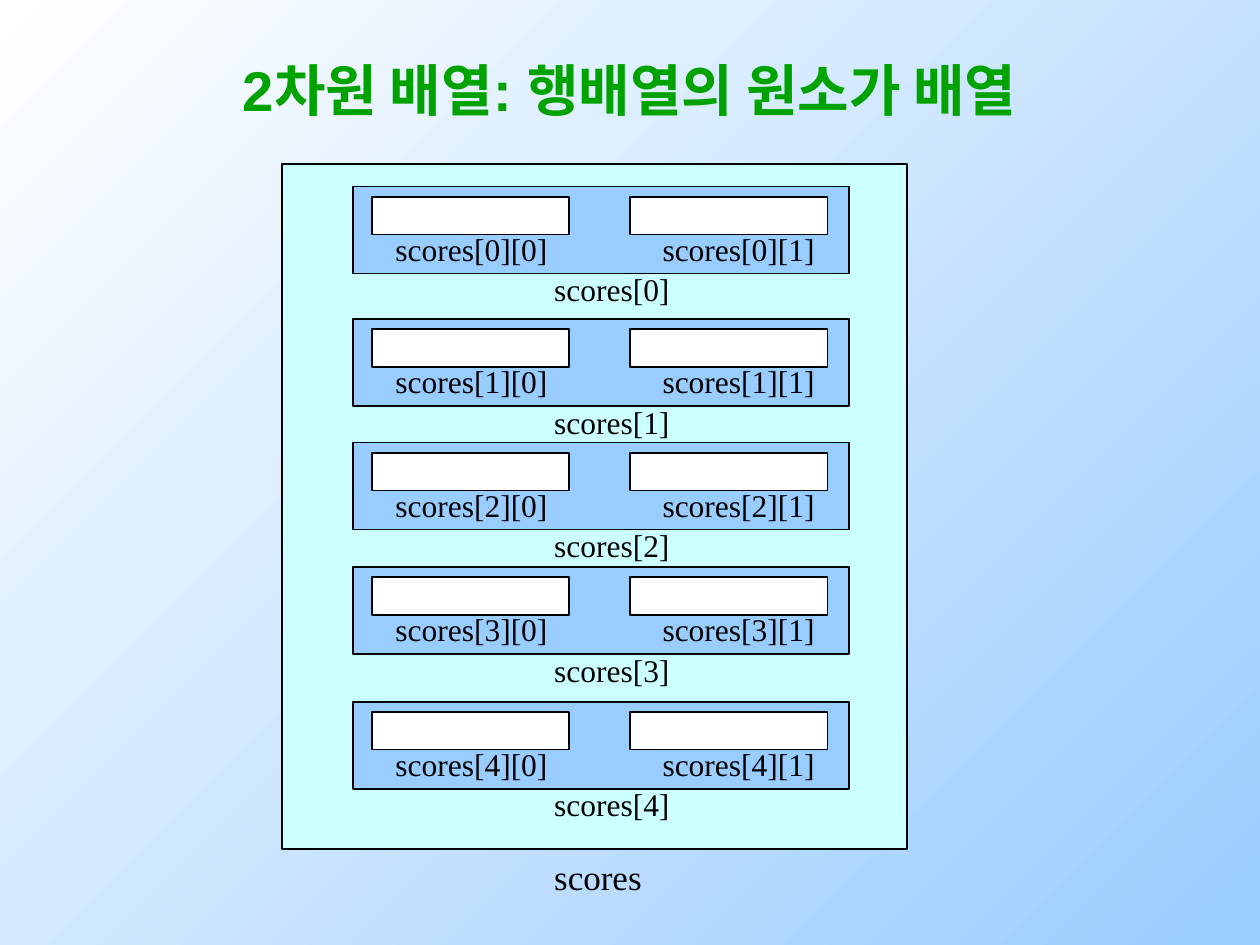
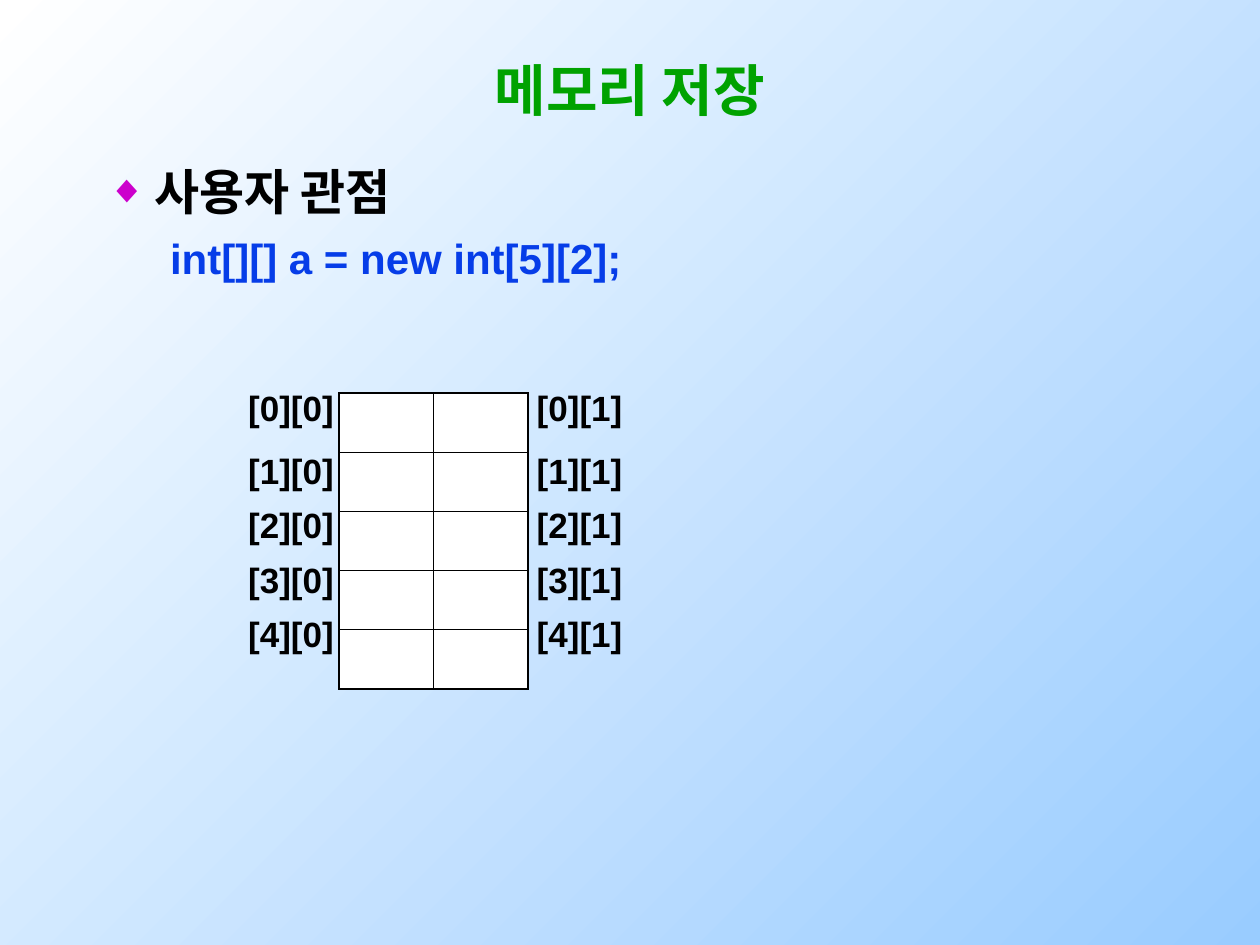
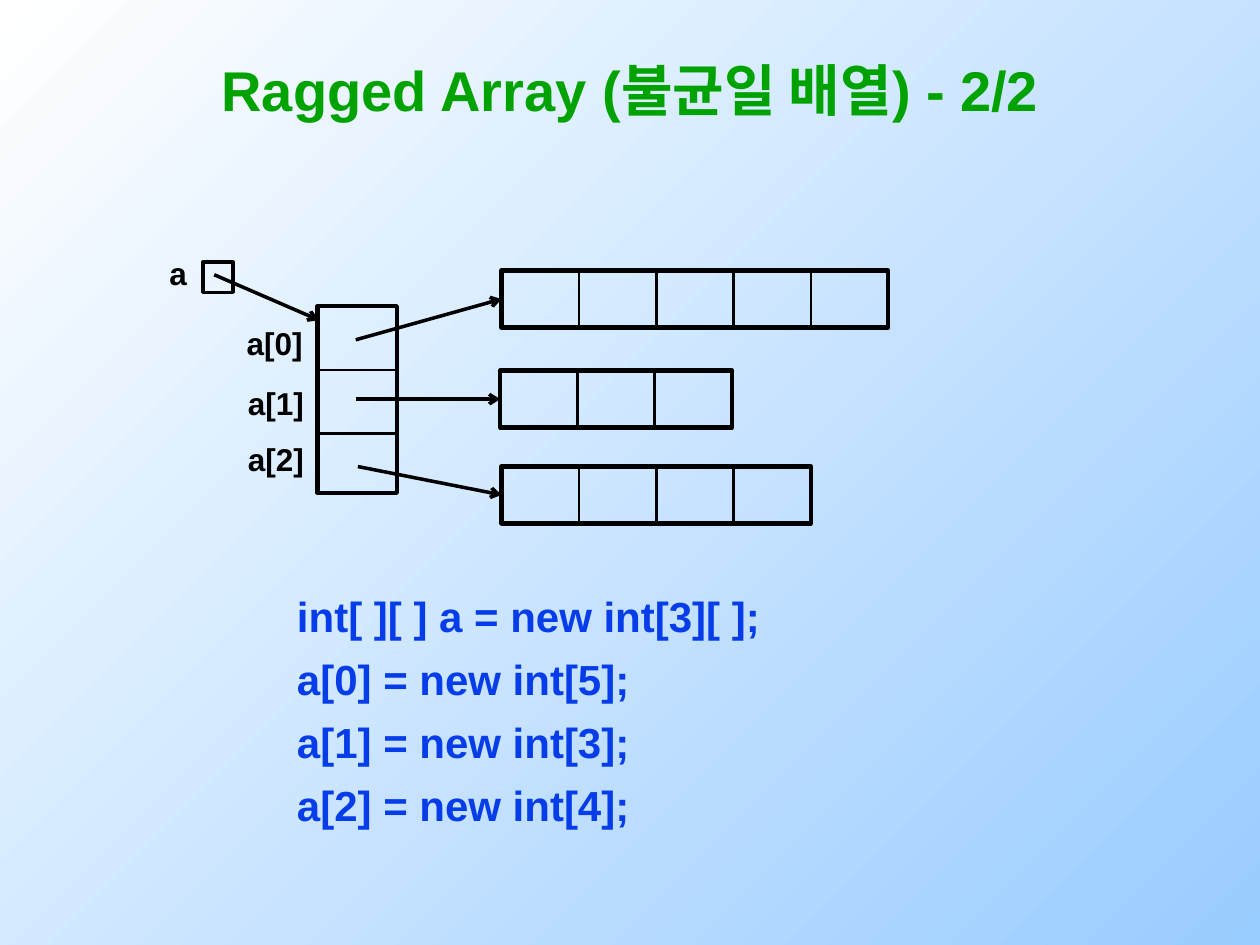
from pptx import Presentation
from pptx.dml.color import RGBColor
from pptx.enum.shapes import MSO_CONNECTOR as LineKind, MSO_SHAPE as ShapeKind
from pptx.enum.text import MSO_AUTO_SIZE as AutoSize, PP_ALIGN as Align
from pptx.oxml.ns import qn
from pptx.util import Pt
from lxml.etree import SubElement

BLACK = RGBColor(0x00, 0x00, 0x00)
WHITE = RGBColor(0xFF, 0xFF, 0xFF)
SKY = RGBColor(0x99, 0xCC, 0xFF)
AQUA = RGBColor(0xCC, 0xFF, 0xFF)
GREEN = RGBColor(0x00, 0xA2, 0x00)
BLUE = RGBColor(0x06, 0x3D, 0xE8)
MAGENTA = RGBColor(0xCC, 0x00, 0xCC)
PLAIN_TABLE = "{2D5ABB26-0587-4C30-8999-92F81FD0307C}"


def write(frame, text, size=18, color=BLACK, font="Arial", bold=True,
          align=Align.LEFT, before=0, margin=0, bullet=None, wrap=True):
    frame.word_wrap = wrap
    frame.auto_size = AutoSize.NONE
    para = frame.add_paragraph() if frame.text else frame.paragraphs[0]
    para.alignment = align
    para.space_before = Pt(before)
    props = para._p.get_or_add_pPr()
    props.set("marL", str(Pt(margin)))
    props.set("indent", str(-Pt(margin) if bullet else 0))
    if bullet:
        tint = SubElement(props, qn("a:buClr"))
        SubElement(tint, qn("a:srgbClr"), val=str(MAGENTA))
        SubElement(props, qn("a:buSzPct"), val="80000")
        SubElement(props, qn("a:buChar"), char=bullet)
    else:
        SubElement(props, qn("a:buNone"))
    span = para.add_run()
    span.text = text
    span.font.name = font
    span.font.size = Pt(size)
    span.font.bold = bold
    span.font.color.rgb = color


def draw_box(page, left, top, width, height, fill=None, weight=1):
    box = page.shapes.add_shape(ShapeKind.RECTANGLE, Pt(left), Pt(top), Pt(width), Pt(height))
    box.shadow.inherit = False
    box.line.color.rgb = BLACK
    box.line.width = Pt(weight)
    if fill is None:
        box.fill.background()
    else:
        box.fill.solid()
        box.fill.fore_color.rgb = fill
    return box


deck = Presentation()
deck.slide_width = Pt(720)
deck.slide_height = Pt(540)
backdrop = deck.slide_master.background.fill
backdrop.gradient()
backdrop.gradient_angle = 315
for stop, color in zip(backdrop.gradient_stops, (WHITE, SKY)):
    stop.color.rgb = color

pages = []
for layout, title in (
    (5, "2차원 배열: 행배열의 원소가 배열"),
    (1, "메모리 저장"),
    (1, "Ragged Array (불균일 배열) - 2/2"),
):
    page = deck.slides.add_slide(deck.slide_layouts[layout])
    heading = page.shapes.title
    heading.left, heading.top, heading.width, heading.height = Pt(54), Pt(23.8), Pt(612), Pt(54)
    write(heading.text_frame, title, size=32, color=GREEN, align=Align.CENTER)
    pages.append(page)
nested_page, memory_page, ragged_page = pages

draw_box(nested_page, 161.3, 93.6, 357.1, 391.7, fill=AQUA)
labels = [("scores", 309.6, 485.3, 64, 20)]
for row, top in enumerate((106.6, 182.2, 252.9, 324, 401)):
    draw_box(nested_page, 201.6, top, 283.7, 49.7, fill=SKY)
    for column, (cell_left, label_left) in enumerate(((212.4, 218.9), (360, 371.5))):
        draw_box(nested_page, cell_left, top + 5.8, 113, 21.6, fill=WHITE)
        labels.append((f"scores[{row}][{column}]", label_left, top + 21.3, 101.5, 18))
    labels.append((f"scores[{row}]", 309.6, top + 44.3, 80, 18))
for text, left, top, width, size in labels:
    label = nested_page.shapes.add_textbox(Pt(left), Pt(top), Pt(width), Pt(28.8))
    write(label.text_frame, text, size=size, font="Times New Roman", bold=False, wrap=False)

body = memory_page.placeholders[1]
body.left, body.top, body.width, body.height = Pt(54), Pt(88.6), Pt(617.8), Pt(432)
write(body.text_frame, "사용자 관점", size=28, margin=27, bullet="◆")
write(body.text_frame, "int[][] a = new int[5][2];", size=24, color=BLUE, before=7.2, margin=36)

tables = []
for left, top, widths, heights in (
    (193.7, 224.6, [54] * 2, [33.8] * 5),
    (134.6, 218.9, [84.2], [36] + [31.2] * 4),
    (299.5, 218.9, [84.2], [36] + [31.2] * 4),
):
    holder = memory_page.shapes.add_table(len(heights), len(widths), Pt(left), Pt(top),
                                          Pt(sum(widths)), Pt(sum(heights)))
    table = holder.table
    table.first_row = table.horz_banding = False
    table._tbl.tblPr.find(qn("a:tableStyleId")).text = PLAIN_TABLE
    for column, width in zip(table.columns, widths):
        column.width = Pt(width)
    for row, height in zip(table.rows, heights):
        row.height = Pt(height)
    tables.append(table)

memory, *indexes = tables
for row in range(5):
    for column in range(2):
        cell = memory.cell(row, column)
        props = cell._tc.get_or_add_tcPr()
        outer = {"L": column == 0, "R": column == 1, "T": row == 0, "B": row == 4}
        for side, is_outer in outer.items():
            border = SubElement(props, qn(f"a:ln{side}"), w=str(Pt(1.08 if is_outer else 0.45)))
            SubElement(SubElement(border, qn("a:solidFill")), qn("a:srgbClr"), val=str(BLACK))
        cell.fill.solid()
        cell.fill.fore_color.rgb = WHITE
        index = indexes[column].cell(row, 0)
        index.fill.background()
        write(index.text_frame, f"[{row}][{column}]", size=20)

code = ragged_page.placeholders[1]
code.left, code.top, code.width, code.height = Pt(162.5), Pt(333.6), Pt(460), Pt(160)
for number, text in enumerate((
    "int[ ][ ] a = new int[3][ ];",
    "a[0] = new int[5];",
    "a[1] = new int[3];",
    "a[2] = new int[4];",
)):
    write(code.text_frame, text, size=24, color=BLUE, before=7.2 if number else 0)

for text, left, top, width in (
    ("a", 87.8, 141.8, 28),
    ("a[0]", 133.2, 181.4, 47.5),
    ("a[1]", 133.9, 216, 47.5),
    ("a[2]", 133.9, 247.7, 47.5),
):
    label = ragged_page.shapes.add_textbox(Pt(left), Pt(top), Pt(width), Pt(25.2))
    write(label.text_frame, text, align=Align.CENTER, wrap=False)

draw_box(ragged_page, 115.9, 149.8, 17.3, 17.3, weight=2)
draw_box(ragged_page, 181.4, 175, 45.4, 106.6, weight=2.5)
lines = [(181.4, 175 + 36.4 * part, 226.8, 175 + 36.4 * part, None, False) for part in (1, 2)]
lines.append((122.4, 157, 182.2, 182.9, None, True))

cell_width, cell_height = 44.2, 32.6
for count, left, top, start_left, start_top in (
    (5, 286.6, 154.6, 203.3, 194.2),
    (3, 285.8, 211.8, 203.3, 228.1),
    (4, 286.6, 266.5, 204.5, 266.6),
):
    target = draw_box(ragged_page, left, top, count * cell_width, cell_height, weight=2.5)
    for part in range(1, count):
        divider = left + part * cell_width
        lines.append((divider, top, divider, top + cell_height, None, False))
    lines.append((start_left, start_top, left, top + cell_height / 2, target, True))

for from_left, from_top, to_left, to_top, target, arrow in lines:
    line = ragged_page.shapes.add_connector(LineKind.STRAIGHT, Pt(from_left), Pt(from_top),
                                            Pt(to_left), Pt(to_top))
    line.line.color.rgb = BLACK
    line.line.width = Pt(2 if arrow else 1.5)
    if arrow:
        SubElement(line.line._get_or_add_ln(), qn("a:tailEnd"), type="arrow")
    SubElement(line._element.spPr, qn("a:effectLst"))
    if target:
        line.end_connect(target, 1)

deck.save("out.pptx")
